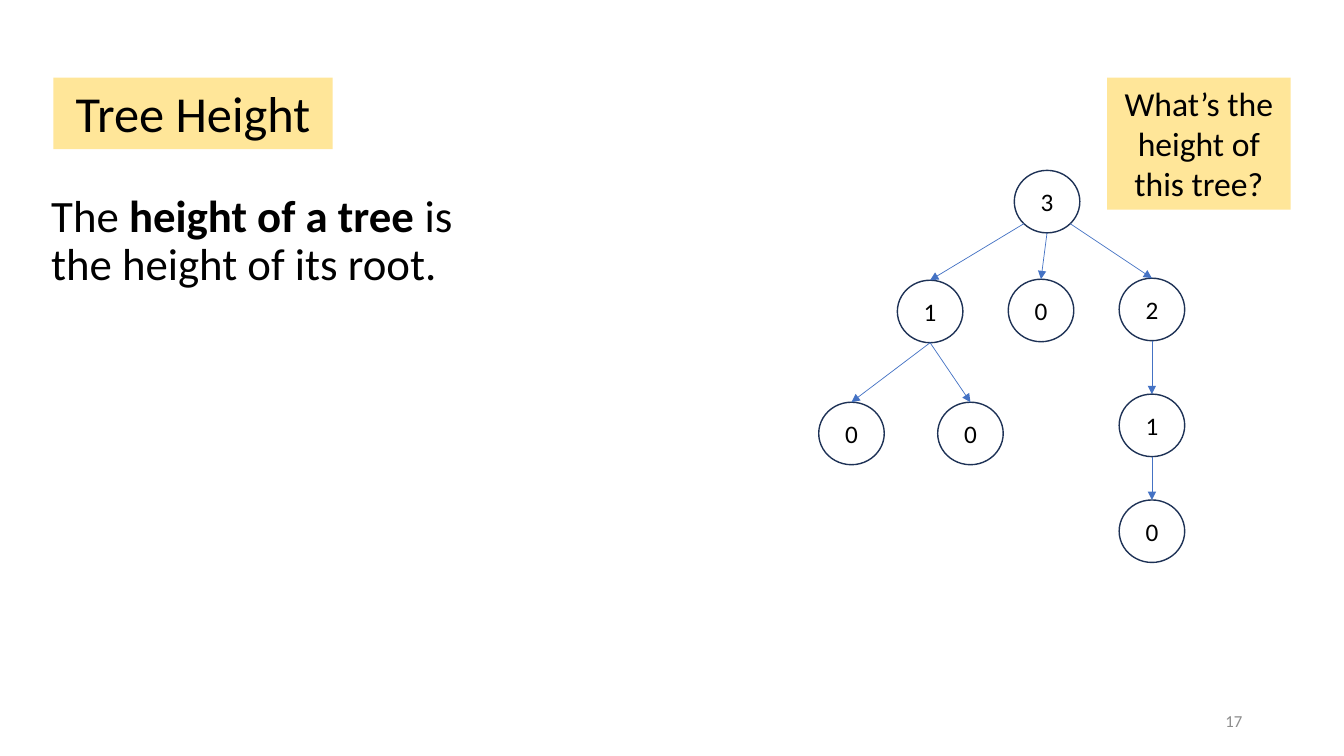
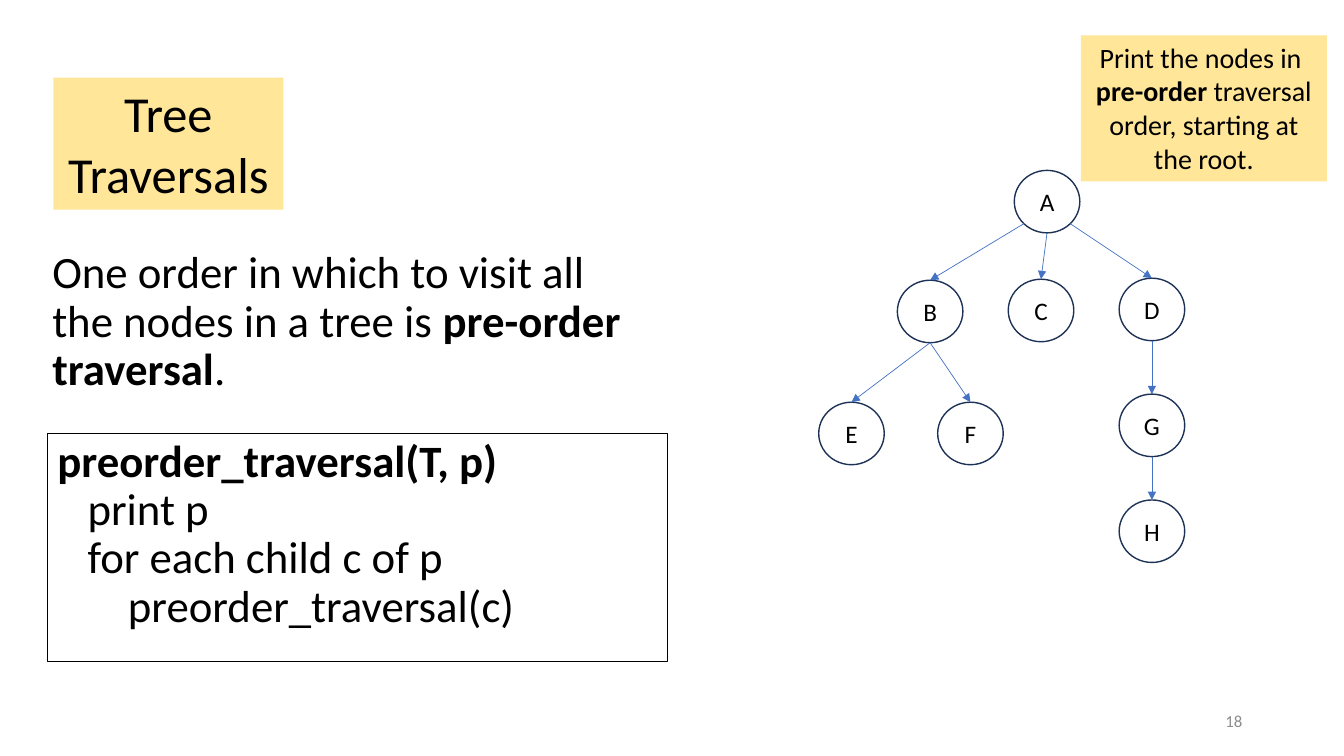
"""Build two slides on tree height and pre-order traversal."""
from math import sqrt

from lxml.etree import SubElement
from pptx import Presentation
from pptx.dml.color import RGBColor
from pptx.enum.shapes import MSO_CONNECTOR, MSO_SHAPE
from pptx.enum.text import MSO_ANCHOR, MSO_AUTO_SIZE, PP_ALIGN
from pptx.oxml.ns import qn
from pptx.util import Inches, Pt

COLORS = {"ink": "000000", "band": "FFE699", "node": "1E3256",
          "edge": "4472C4", "footer": "8C8C8C"}
FONT = "Calibri"
NODE_W, NODE_H = 0.65, 0.62
NODES = {"root": (10.06, 1.69), "left": (8.9, 2.78), "middle": (10, 2.77),
         "right": (11.1, 2.76), "right child": (11.1, 3.91),
         "left first": (8.12, 3.99), "left second": (9.3, 3.99),
         "right leaf": (11.1, 4.96)}
EDGES = [("root", "left", -1), ("root", "middle", 0), ("root", "right", 1),
         ("left", "left first", 0), ("left", "left second", 0),
         ("right", "right child", 0), ("right child", "right leaf", 0)]


def color(name):
    return RGBColor.from_string(COLORS[name])


def write(frame, *paragraphs, size=32, ink="ink", align=PP_ALIGN.LEFT,
          anchor=MSO_ANCHOR.TOP, line=1.0, before=0, indents=(), grow=False):
    """Fill a frame with paragraphs; text between ** marks is bold."""
    frame.word_wrap = True
    frame.auto_size = MSO_AUTO_SIZE.SHAPE_TO_FIT_TEXT if grow else MSO_AUTO_SIZE.NONE
    frame.vertical_anchor = anchor
    for index, text in enumerate(paragraphs):
        paragraph = frame.add_paragraph() if index else frame.paragraphs[0]
        paragraph.alignment = align
        paragraph.line_spacing = line
        paragraph.space_before = Pt(0 if index else before)
        if indents:
            paragraph._p.get_or_add_pPr().set("marL", str(Inches(indents[index])))
        for part, words in enumerate(text.split("**")):
            if words:
                run = paragraph.add_run()
                run.text = words
                run.font.name, run.font.size = FONT, Pt(size)
                run.font.bold = part % 2 == 1
                run.font.color.rgb = color(ink)


class Deck:
    """Hold the shared style and the current slide."""

    def __init__(self):
        self.show = Presentation()
        self.show.slide_width, self.show.slide_height = Inches(13.33), Inches(7.5)

    def start(self, number):
        self.slide = self.show.slides.add_slide(self.show.slide_layouts[6])
        self.text((9.42, 6.95, 3, 0.4), number, size=12, ink="footer",
                  align=PP_ALIGN.RIGHT, anchor=MSO_ANCHOR.MIDDLE)

    def text(self, place, *paragraphs, **style):
        box = self.slide.shapes.add_textbox(*map(Inches, place))
        write(box.text_frame, *paragraphs, **style)

    def body(self, place, text):
        self.text(place, text, line=0.9, before=10)

    def shape(self, kind, place, fill=None, outline=None, width=1):
        shape = self.slide.shapes.add_shape(kind, *map(Inches, place))
        shape.shadow.inherit = False
        if fill:
            shape.fill.solid()
            shape.fill.fore_color.rgb = color(fill)
        else:
            shape.fill.background()
        if outline:
            shape.line.color.rgb = color(outline)
            shape.line.width = Pt(width)
        else:
            shape.line.fill.background()
        return shape

    def band(self, place, *paragraphs, size=36):
        band = self.shape(MSO_SHAPE.RECTANGLE, place, fill="band")
        write(band.text_frame, *paragraphs, size=size, align=PP_ALIGN.CENTER, grow=True)

    def code(self, place, *lines, indents):
        frame = self.shape(MSO_SHAPE.RECTANGLE, place, outline="ink", width=0.75)
        write(frame.text_frame, *lines, line=0.9, before=10, indents=indents)

    def node(self, label, left, top):
        node = self.shape(MSO_SHAPE.OVAL, (left, top, NODE_W, NODE_H), outline="node")
        frame = node.text_frame
        frame.margin_left = frame.margin_right = 0
        frame.margin_top = frame.margin_bottom = 0
        write(frame, label, size=18, align=PP_ALIGN.CENTER, anchor=MSO_ANCHOR.MIDDLE)

    def arrow(self, start, end):
        arrow = self.slide.shapes.add_connector(
            MSO_CONNECTOR.STRAIGHT, *map(Inches, start + end))
        arrow.line.color.rgb = color("edge")
        arrow.line.width = Pt(0.5)
        SubElement(arrow.line._get_or_add_ln(), qn("a:tailEnd"), type="triangle")
        SubElement(arrow._element.spPr, qn("a:effectLst"))

    def tree(self, labels):
        for label, place in zip(labels, NODES.values()):
            self.node(label, *place)
        for parent, child, lean in EDGES:
            left, top = NODES[parent]
            drop = 1 / sqrt(2) if lean else 1
            start = (left + NODE_W / 2 * (1 + lean * drop), top + NODE_H / 2 * (1 + drop))
            child_left, child_top = NODES[child]
            self.arrow(start, (child_left + NODE_W / 2, child_top))


deck = Deck()

deck.start("17")
deck.body((0.41, 1.87, 4.44, 2.42), "The **height of a tree **is the height of its root.")
deck.tree("31021000")
deck.band((0.53, 0.77, 2.77, 0.71), "Tree Height")
deck.band((10.98, 0.77, 1.82, 1.31), "What’s the height of this tree?", size=24)

deck.start("18")
deck.body((0.42, 2.43, 5.89, 1.58),
          "One order in which to visit all the nodes in a tree is **pre-order traversal**.")
deck.tree("ABCDGEFH")
deck.band((0.53, 0.77, 2.28, 1.31), "Tree Traversals")
deck.code((0.47, 4.3, 6.15, 2.26), "**preorder_traversal(T, p)**", "print p",
          "for each child c of p", "preorder_traversal(c)", indents=(0, 0.3, 0.3, 0.7))
deck.band((10.72, 0.35, 2.44, 1.45), "Print the nodes in ",
          "**pre-order** traversal order, starting at the root.", size=20)

deck.show.save("out.pptx")
